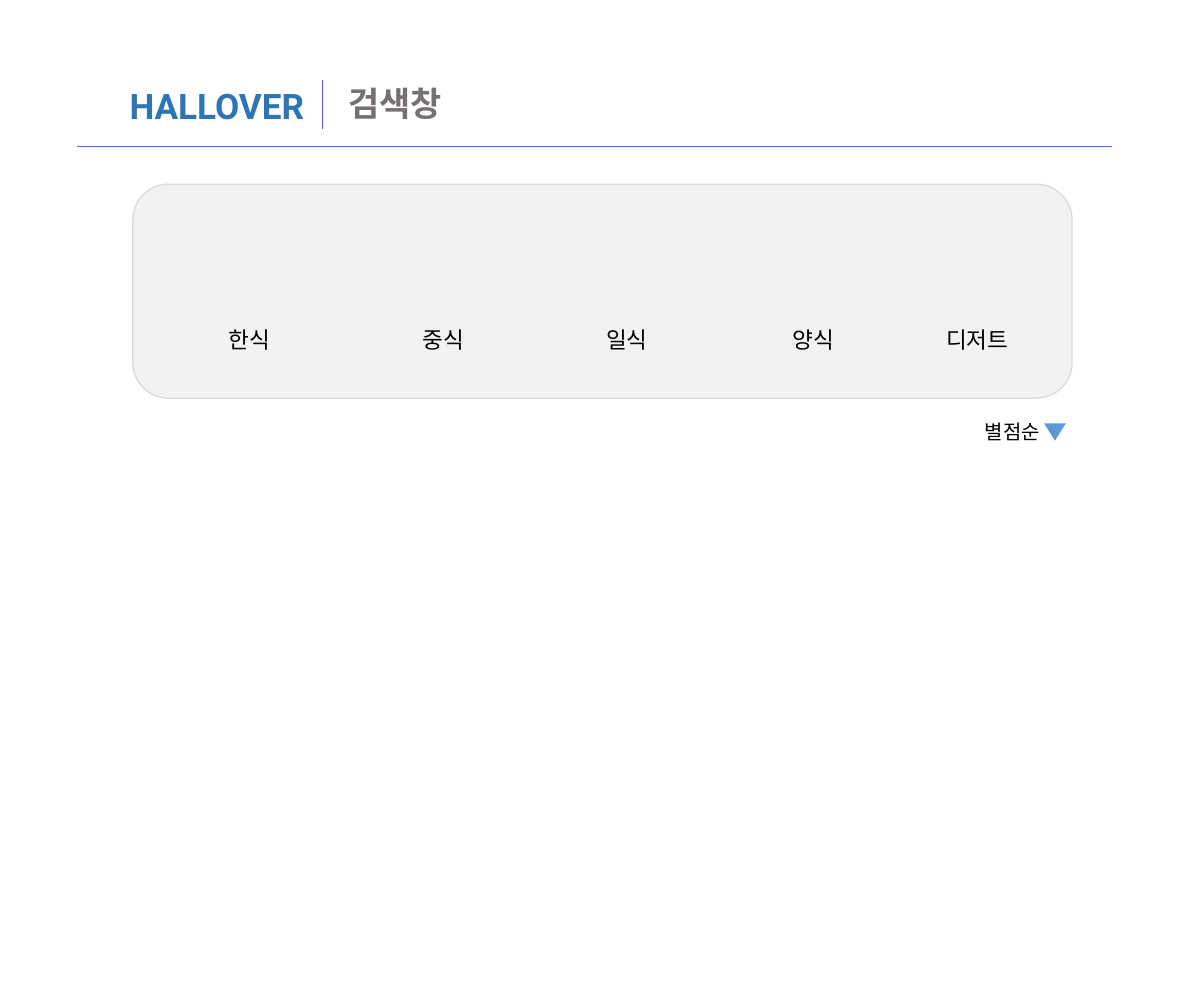
from lxml import etree
from pptx import Presentation
from pptx.dml.color import RGBColor
from pptx.enum import shapes, text
from pptx.oxml import ns
from pptx.util import Inches, Pt

COLORS = {
    "brand": "2E75B6",
    "heading": "767171",
    "rule": "4472C4",
    "panel": "F2F2F2",
    "panel_edge": "D9D9D9",
    "text": "000000",
    "arrow": "5B9BD5",
}

presentation = Presentation()
presentation.slide_width = Inches(13.33)
presentation.slide_height = Inches(11.02)
slide = presentation.slides.add_slide(presentation.slide_layouts[6])


def add_label(words, left, top, width, height, size, color="text", font="Arial", bold=False):
    box = slide.shapes.add_textbox(Inches(left), Inches(top), Inches(width), Inches(height))
    box.text_frame.word_wrap = True
    box.text_frame.auto_size = text.MSO_AUTO_SIZE.SHAPE_TO_FIT_TEXT
    paragraph = box.text_frame.paragraphs[0]
    paragraph.text = words
    paragraph.alignment = text.PP_ALIGN.CENTER
    paragraph.font.name = font
    paragraph.font.size = Pt(size)
    paragraph.font.bold = bold
    paragraph.font.color.rgb = RGBColor.from_string(COLORS[color])


# Category panel
panel = slide.shapes.add_shape(
    shapes.MSO_SHAPE.ROUNDED_RECTANGLE, Inches(1.47), Inches(2.04), Inches(10.4), Inches(2.37))
panel.shadow.inherit = False
panel.fill.solid()
panel.fill.fore_color.rgb = RGBColor.from_string(COLORS["panel"])
panel.line.color.rgb = RGBColor.from_string(COLORS["panel_edge"])
panel.line.width = Pt(1)

categories = [("한식", 2.26, 1), ("중식", 4.41, 1), ("일식", 6.44, 1), ("양식", 8.51, 1), ("디저트", 10.25, 1.14)]
for name, left, width in categories:
    add_label(name, left, 3.56, width, 0.4, 18)

# Header
add_label("HALLOVER", 1.11, 0.89, 2.58, 0.57, 28, "brand", "Roboto", True)
add_label("검색창", 3.7, 0.87, 1.35, 0.56, 27, "heading", bold=True)

header_rules = [(0.85, 1.62, 12.31, 1.62), (3.57, 0.89, 3.57, 1.43)]
for ends in header_rules:
    rule = slide.shapes.add_connector(
        shapes.MSO_CONNECTOR.STRAIGHT, *[Inches(value) for value in ends])
    rule.line.color.rgb = RGBColor.from_string(COLORS["rule"])
    rule.line.width = Pt(0.5)
    etree.SubElement(rule._element.spPr, ns.qn("a:effectLst"))

# Sort order
add_label("별점순", 10.71, 4.6, 1, 0.37, 15.9)
sort_arrow = slide.shapes.add_shape(
    shapes.MSO_SHAPE.ISOSCELES_TRIANGLE, Inches(11.56), Inches(4.69), Inches(0.24), Inches(0.19))
sort_arrow.rotation = 180
sort_arrow.shadow.inherit = False
sort_arrow.fill.solid()
sort_arrow.fill.fore_color.rgb = RGBColor.from_string(COLORS["arrow"])
sort_arrow.line.fill.background()

presentation.save("out.pptx")
